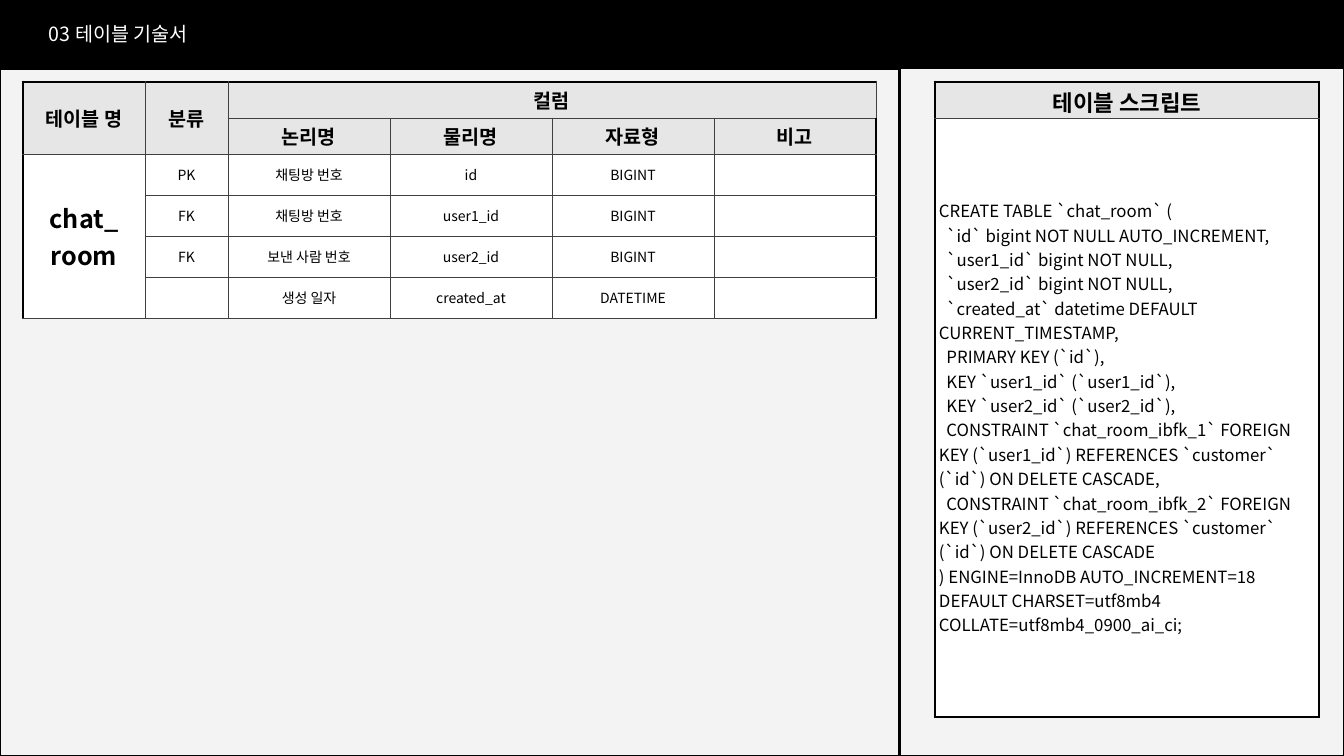
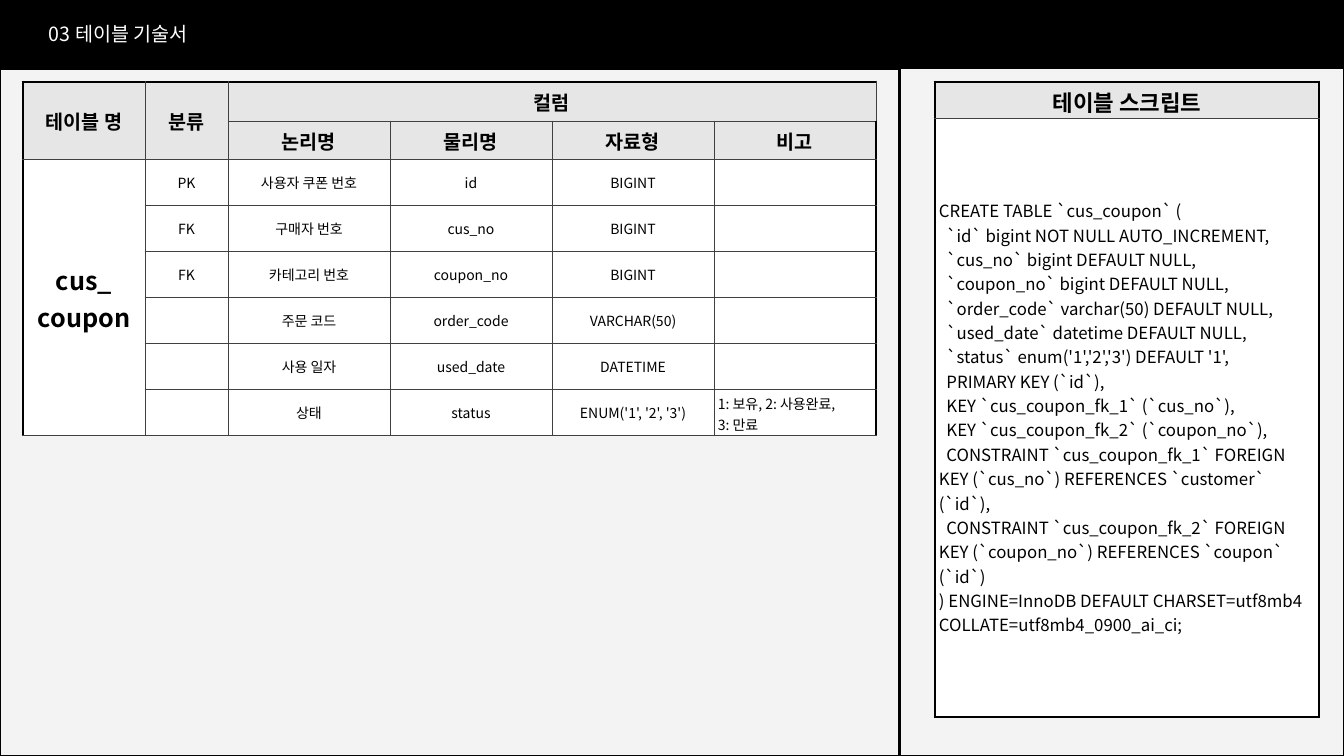
import lxml.etree
import pptx
import pptx.dml.color
import pptx.enum.shapes
import pptx.enum.text
import pptx.oxml.ns
import pptx.util

SLIDE_WIDTH, SLIDE_HEIGHT = 1344, 756
EMU_PER_PX = 12192000 / SLIDE_WIDTH
FONT = "Noto Sans CJK KR"
COLORS = {
    "background": "F3F3F3",
    "band": "000000",
    "title": "FFFFFF",
    "text": "000000",
    "frame": "000000",
    "grid": "404040",
    "header": "E6E6E6",
    "cell": "FFFFFF",
}
THIN = ("grid", 0.75)
THICK = ("frame", 2.25)
CELL_MARGIN = 4
CENTER = pptx.enum.text.PP_ALIGN.CENTER
LEFT = pptx.enum.text.PP_ALIGN.LEFT

BAND = (0, 0, SLIDE_WIDTH, 69)
TITLE = (39, 17, 672, 38)
LEFT_PANEL = (0, 69, 899, 687)
RIGHT_PANEL = (900, 39, 444, 717)
TITLE_TEXT = "03 테이블 기술서"
COLUMN_WIDTHS = [122, 83] + [162] * 4
COLUMN_NAMES = ["논리명", "물리명", "자료형", "비고"]

TABLES = [
    {
        "name": "chat_\nroom",
        "header_height": 36,
        "row_height": 41,
        "rows": [
            ("PK", "채팅방 번호", "id", "BIGINT", ""),
            ("FK", "채팅방 번호", "user1_id", "BIGINT", ""),
            ("FK", "보낸 사람 번호", "user2_id", "BIGINT", ""),
            ("", "생성 일자", "created_at", "DATETIME", ""),
        ],
        "script": """CREATE TABLE `chat_room` (
  `id` bigint NOT NULL AUTO_INCREMENT,
  `user1_id` bigint NOT NULL,
  `user2_id` bigint NOT NULL,
  `created_at` datetime DEFAULT CURRENT_TIMESTAMP,
  PRIMARY KEY (`id`),
  KEY `user1_id` (`user1_id`),
  KEY `user2_id` (`user2_id`),
  CONSTRAINT `chat_room_ibfk_1` FOREIGN KEY (`user1_id`) REFERENCES `customer` (`id`) ON DELETE CASCADE,
  CONSTRAINT `chat_room_ibfk_2` FOREIGN KEY (`user2_id`) REFERENCES `customer` (`id`) ON DELETE CASCADE
) ENGINE=InnoDB AUTO_INCREMENT=18 DEFAULT CHARSET=utf8mb4 COLLATE=utf8mb4_0900_ai_ci;""",
    },
    {
        "name": "cus_\ncoupon",
        "header_height": 39,
        "row_height": 46,
        "rows": [
            ("PK", "사용자 쿠폰 번호", "id", "BIGINT", ""),
            ("FK", "구매자 번호", "cus_no", "BIGINT", ""),
            ("FK", "카테고리 번호", "coupon_no", "BIGINT", ""),
            ("", "주문 코드", "order_code", "VARCHAR(50)", ""),
            ("", "사용 일자", "used_date", "DATETIME", ""),
            ("", "상태", "status", "ENUM('1', '2', '3')", "1: 보유, 2: 사용완료,\n3: 만료"),
        ],
        "script": """CREATE TABLE `cus_coupon` (
  `id` bigint NOT NULL AUTO_INCREMENT,
  `cus_no` bigint DEFAULT NULL,
  `coupon_no` bigint DEFAULT NULL,
  `order_code` varchar(50) DEFAULT NULL,
  `used_date` datetime DEFAULT NULL,
  `status` enum('1','2','3') DEFAULT '1',
  PRIMARY KEY (`id`),
  KEY `cus_coupon_fk_1` (`cus_no`),
  KEY `cus_coupon_fk_2` (`coupon_no`),
  CONSTRAINT `cus_coupon_fk_1` FOREIGN KEY (`cus_no`) REFERENCES `customer` (`id`),
  CONSTRAINT `cus_coupon_fk_2` FOREIGN KEY (`coupon_no`) REFERENCES `coupon` (`id`)
) ENGINE=InnoDB DEFAULT CHARSET=utf8mb4 COLLATE=utf8mb4_0900_ai_ci;""",
    },
]


def px(length):
    return pptx.util.Emu(round(length * EMU_PER_PX))


def rgb(name):
    return pptx.dml.color.RGBColor.from_string(COLORS[name])


def add_text(frame, text, size, color="text", bold=False, align=LEFT):
    """Write each line of the text as a paragraph of the frame."""
    for index, line in enumerate(text.split("\n")):
        paragraph = frame.add_paragraph() if index else frame.paragraphs[0]
        paragraph.alignment = align
        if not line:
            continue
        run = paragraph.add_run()
        run.text = line
        run.font.name = FONT
        run.font.size = pptx.util.Pt(size)
        run.font.bold = bold
        run.font.color.rgb = rgb(color)
        east_asian = lxml.etree.SubElement(run.font._element, pptx.oxml.ns.qn("a:ea"))
        east_asian.set("typeface", FONT)


def add_rectangle(slide, box, fill=None, line=None):
    shape = slide.shapes.add_shape(
        pptx.enum.shapes.MSO_SHAPE.RECTANGLE, *map(px, box))
    shape.shadow.inherit = False
    if fill:
        shape.fill.solid()
        shape.fill.fore_color.rgb = rgb(fill)
    else:
        shape.fill.background()
    if line:
        shape.line.color.rgb = rgb(line)
        shape.line.width = pptx.util.Pt(1.5)
    else:
        shape.line.fill.background()


def set_borders(cell, borders):
    """Draw the cell's edges; borders maps L, R, T and B to (color, points)."""
    properties = cell._tc.get_or_add_tcPr()
    for side in "LRTB":
        color, width = borders[side]
        line = lxml.etree.SubElement(properties, pptx.oxml.ns.qn("a:ln" + side))
        line.set("w", str(pptx.util.Pt(width)))
        fill = lxml.etree.SubElement(line, pptx.oxml.ns.qn("a:solidFill"))
        lxml.etree.SubElement(fill, pptx.oxml.ns.qn("a:srgbClr")).set("val", COLORS[color])


def add_grid(slide, left, top, widths, heights, header_rows, bottom):
    """Add an empty table with a thick frame, shaded header and given bottom edge."""
    row_count, column_count = len(heights), len(widths)
    table = slide.shapes.add_table(
        row_count, column_count, px(left), px(top),
        px(sum(widths)), px(sum(heights))).table
    table.first_row = table.horz_banding = False
    for column, width in zip(table.columns, widths):
        column.width = px(width)
    for row, height in zip(table.rows, heights):
        row.height = px(height)
    for row in range(row_count):
        for column in range(column_count):
            cell = table.cell(row, column)
            set_borders(cell, {
                "L": THICK if column == 0 else THIN,
                "R": THICK if column == column_count - 1 else THIN,
                "T": THICK if row == 0 else THIN,
                "B": bottom if row == row_count - 1 else THIN,
            })
            cell.fill.solid()
            cell.fill.fore_color.rgb = rgb("header" if row < header_rows else "cell")
            cell.vertical_anchor = pptx.enum.text.MSO_ANCHOR.MIDDLE
            cell.margin_left = cell.margin_right = px(CELL_MARGIN)
            cell.margin_top = cell.margin_bottom = px(CELL_MARGIN)
    return table


def add_header(slide, box):
    add_rectangle(slide, BAND, fill="band")
    text_box = slide.shapes.add_textbox(*map(px, box))
    text_box.text_frame.word_wrap = True
    add_text(text_box.text_frame, TITLE_TEXT, 14, "title")


def add_description(slide, box, content):
    left, top, width, height = box
    add_rectangle(slide, box, line="frame")
    rows = content["rows"]
    heights = [content["header_height"]] * 2 + [content["row_height"]] * len(rows)
    table = add_grid(slide, left + 23, top + 13, COLUMN_WIDTHS, heights, 2, THIN)
    table.cell(0, 0).merge(table.cell(1, 0))
    table.cell(0, 1).merge(table.cell(1, 1))
    table.cell(0, 2).merge(table.cell(0, 5))
    table.cell(2, 0).merge(table.cell(len(rows) + 1, 0))

    headings = [(0, column, name) for column, name in enumerate(["테이블 명", "분류", "컬럼"])]
    headings += [(1, column, name) for column, name in enumerate(COLUMN_NAMES, 2)]
    for row, column, name in headings:
        add_text(table.cell(row, column).text_frame, name, 14, bold=True, align=CENTER)
    add_text(table.cell(2, 0).text_frame, content["name"], 18, bold=True, align=CENTER)
    for row, values in enumerate(rows, 2):
        for column, value in enumerate(values, 1):
            align = LEFT if column == len(values) else CENTER
            add_text(table.cell(row, column).text_frame, value, 10, align=align)


def add_script(slide, box, script):
    left, top, width, height = box
    add_rectangle(slide, box, line="frame")
    table = add_grid(slide, left + 35, top + 43, [384], [36, 599], 1, THICK)
    add_text(table.cell(0, 0).text_frame, "테이블 스크립트", 16, bold=True, align=CENTER)
    add_text(table.cell(1, 0).text_frame, script, 12)


def add_table_slide(presentation, content):
    slide = presentation.slides.add_slide(presentation.slide_layouts[6])
    slide.background.fill.solid()
    slide.background.fill.fore_color.rgb = rgb("background")
    add_header(slide, TITLE)
    add_description(slide, LEFT_PANEL, content)
    add_script(slide, RIGHT_PANEL, content["script"])


def main():
    presentation = pptx.Presentation()
    presentation.slide_width = px(SLIDE_WIDTH)
    presentation.slide_height = px(SLIDE_HEIGHT)
    for content in TABLES:
        add_table_slide(presentation, content)
    presentation.save("out.pptx")


if __name__ == "__main__":
    main()
